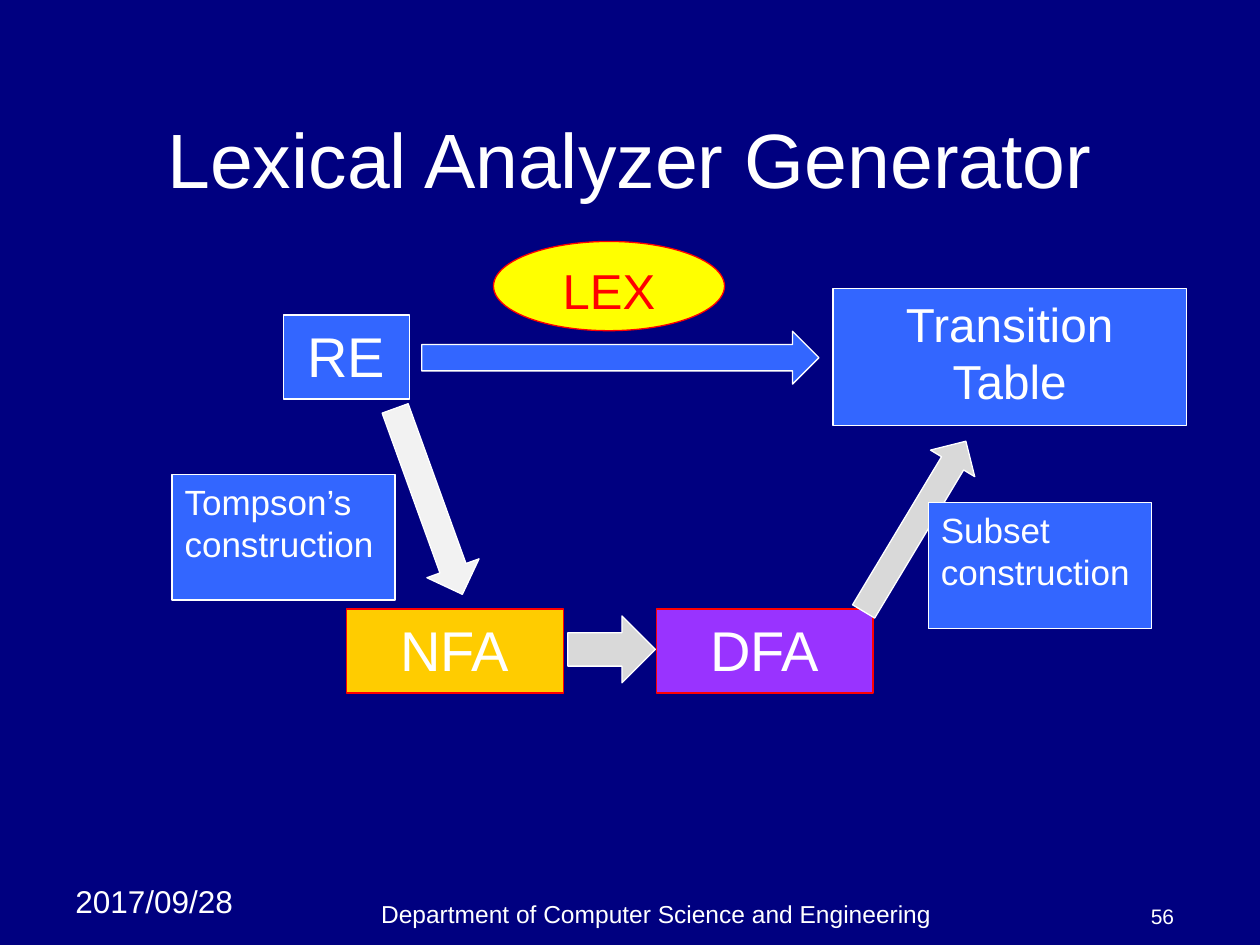
import pptx
import pptx.util
import pptx.dml.color
import pptx.enum.shapes
import pptx.enum.text

Pt = pptx.util.Pt
SHAPE = pptx.enum.shapes.MSO_SHAPE
ANCHOR = pptx.enum.text.MSO_ANCHOR
ALIGN = pptx.enum.text.PP_ALIGN

COLORS = {
    "navy": "000080",
    "white": "FFFFFF",
    "blue": "3366FF",
    "yellow": "FFFF00",
    "red": "FF0000",
    "amber": "FFCC00",
    "purple": "9933FF",
    "pale": "F2F2F2",
    "gray": "D9D9D9",
}


def rgb(name):
    return pptx.dml.color.RGBColor.from_string(COLORS[name])


def write(shape, text, size, color="white", align=ALIGN.CENTER, anchor=ANCHOR.TOP):
    frame = shape.text_frame
    frame.word_wrap = True
    frame.vertical_anchor = anchor
    frame.text = text
    for paragraph in frame.paragraphs:
        paragraph.alignment = align
        paragraph.font.name = "Arial"
        paragraph.font.size = Pt(size)
        paragraph.font.color.rgb = rgb(color)


def add_label(slide, box, text, size, **style):
    label = slide.shapes.add_textbox(*map(Pt, box))
    write(label, text, size, **style)


def add_figure(slide, kind, box, fill, line="white"):
    figure = slide.shapes.add_shape(kind, *map(Pt, box))
    figure.shadow.inherit = False
    figure.fill.solid()
    figure.fill.fore_color.rgb = rgb(fill)
    figure.line.color.rgb = rgb(line)
    figure.line.width = Pt(0.75)
    return figure


def add_diagram(slide, left, top):
    """Draw the path from RE to the transition table, direct and by NFA and DFA."""

    def node(x, y, width, height, text, size, fill="blue", line="white",
             kind=SHAPE.RECTANGLE, **style):
        figure = add_figure(slide, kind, (left + x, top + y, width, height), fill, line)
        write(figure, text, size, **style)

    def arrow(x, y, width, height, fill, rotation=0):
        figure = add_figure(slide, SHAPE.RIGHT_ARROW,
                            (left + x, top + y, width, height), fill)
        figure.rotation = rotation

    node(64, 42, 72, 48, "RE", 32)
    arrow(143, 51.3, 227, 30.2, "blue")
    node(378, 27, 202, 78, "Transition Table", 27.2)
    node(184, 0, 132, 51, "LEX", 28, "yellow", "red", SHAPE.OVAL, color="red")

    for x, automaton, fill in ((100, "NFA", "amber"), (277, "DFA", "purple")):
        node(x, 210, 124, 48, automaton, 32, fill, "red")

    arrow(90.5, 132.7, 113, 31.7, "pale", 70.1)
    arrow(226.5, 214, 50, 38.2, "gray")
    arrow(368, 148, 113.5, 29.5, "gray", 301)

    for x, y, method in ((0.4, 133, "Tompson’s construction"),
                         (432.6, 149.3, "Subset\nconstruction")):
        node(x, y, 127.4, 72, method, 20, align=ALIGN.LEFT)


def add_footer(slide, top, height):
    add_label(slide, (36, top - 9.5, 114, 29), "2017/09/28", 18, align=ALIGN.LEFT)
    add_label(slide, (132, top, 486, height),
              "Department of Computer Science and Engineering", 14, anchor=ANCHOR.BOTTOM)
    add_label(slide, (630, top, 48, height), "56", 12,
              align=ALIGN.RIGHT, anchor=ANCHOR.BOTTOM)


def main():
    deck = pptx.Presentation()
    deck.slide_width, deck.slide_height = Pt(720), Pt(540)
    slide = deck.slides.add_slide(deck.slide_layouts[6])
    slide.background.fill.solid()
    slide.background.fill.fore_color.rgb = rgb("navy")

    add_footer(slide, top=510, height=24)
    add_label(slide, (54, 30, 612, 120), "Lexical Analyzer Generator", 44,
              anchor=ANCHOR.MIDDLE)
    add_diagram(slide, left=98, top=138)
    deck.save("out.pptx")


if __name__ == "__main__":
    main()
